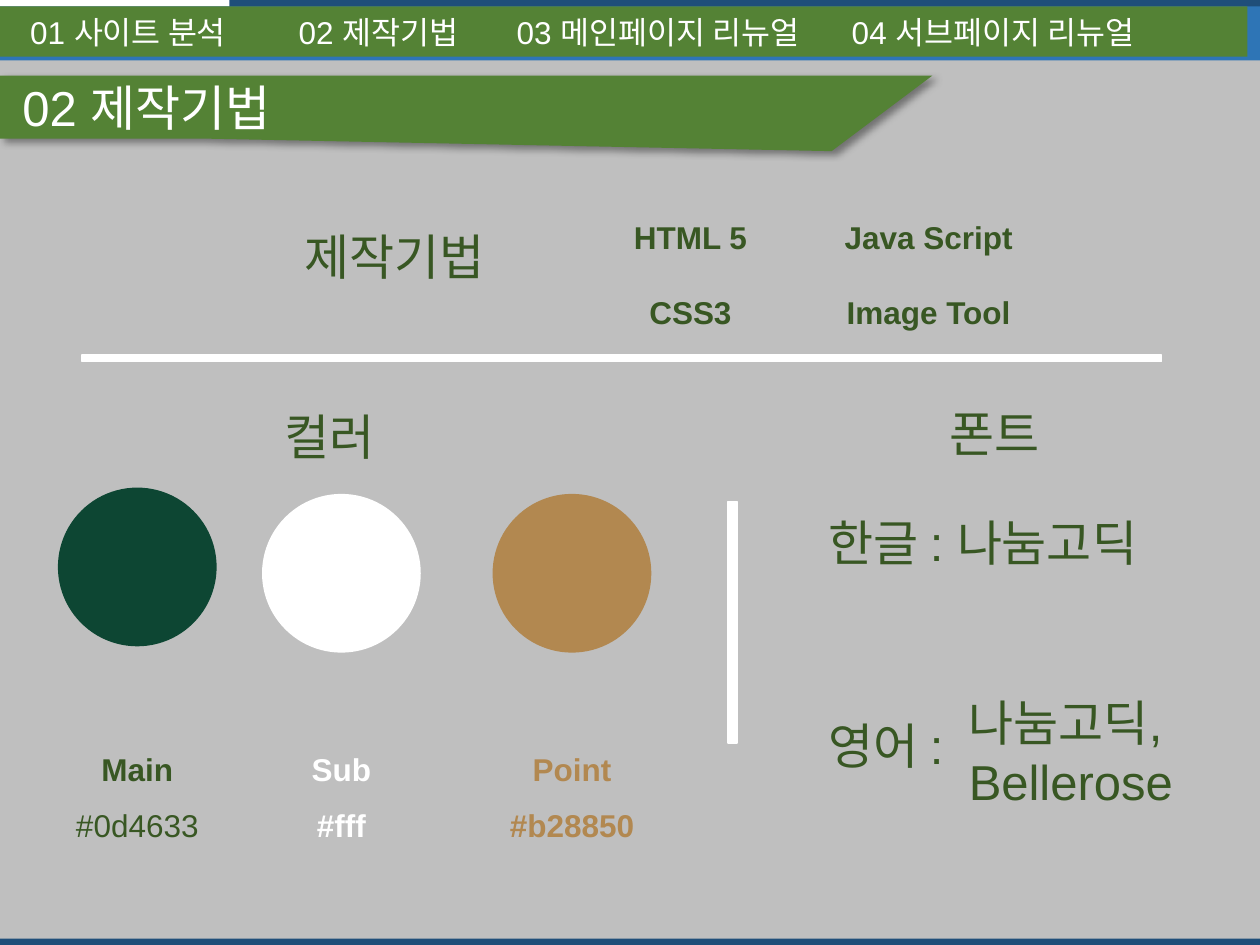
from lxml.etree import SubElement as Sub
from pptx import Presentation
from pptx.dml.color import RGBColor as Rgb
from pptx.enum.shapes import MSO_SHAPE as Form
from pptx.enum.text import PP_ALIGN as Align
from pptx.oxml.ns import qn
from pptx.util import Inches, Pt

COLS, ROWS = 100, 75
CELL = Inches(10) // COLS
HUES = {"back": "BFBFBF", "sky": "2E75B6", "navy": "1F4E79", "leaf": "548235",
        "ink": "385723", "white": "FFFFFF", "main": "0D4633", "point": "B28850"}


def span(*cells):
    """Turn grid cells into lengths."""
    return [round(n * CELL) for n in cells]


def hue(name):
    """Look up a colour by name."""
    return Rgb.from_string(HUES[name])


def paint(shape, fill, line=None):
    """Give a shape a flat fill, an optional line and no shadow."""
    shape.shadow.inherit = False
    shape.fill.solid()
    shape.fill.fore_color.rgb = hue(fill)
    if line:
        shape.line.color.rgb = hue(line)
        shape.line.width = Pt(1)
    else:
        shape.line.fill.background()
    return shape


def block(slide, box, fill, line=None, form=Form.RECTANGLE):
    """Add a painted preset shape."""
    return paint(slide.shapes.add_shape(form, *span(*box)), fill, line)


def style(frame, size, tint, bold=False, align=Align.LEFT, gap=None):
    """Format every paragraph of a text frame."""
    for para in frame.paragraphs:
        para.alignment = align
        para.line_spacing = gap
        for run in para.runs:
            run.font.name = "Arial"
            run.font.size = Pt(size)
            run.font.bold = bold
            run.font.color.rgb = hue(tint)


def label(slide, box, text, size=28, tint="ink", **look):
    """Add a styled text box."""
    frame = slide.shapes.add_textbox(*span(*box)).text_frame
    frame.word_wrap = True
    frame.text = text
    style(frame, size, tint, **look)
    return frame


def stage(slide, box):
    """Fill the back and draw the strips at its top and foot."""
    x, y, w, h = box
    block(slide, box, "back")
    block(slide, (x, y + 0.3, w, 4.5), "sky")
    for top in (y, y + h - 0.5):
        block(slide, (x, top, w, 0.5), "navy")
    block(slide, (x, y, 18.2, 0.5), "white")


def menu(slide, box):
    """Draw the menu bar with its entries on tab stops."""
    bar = block(slide, box, "leaf")
    frame = bar.text_frame
    frame.margin_left, frame.margin_right = span(2.4, 0)
    frame.text = "\t".join(["01 사이트 분석", "02 제작기법",
                            "03 메인페이지 리뉴얼", "04 서브페이지 리뉴얼"])
    style(frame, 18, "white")
    tabs = Sub(frame.paragraphs[0]._p.get_or_add_pPr(), qn("a:tabLst"))
    for stop in span(21.3, 38.6, 65.2):
        Sub(tabs, qn("a:tab"), pos=str(stop), algn="l")


def title(slide, box):
    """Draw the slanted title banner with its shadow."""
    x, y, w, h = box
    pen = slide.shapes.build_freeform(x, y, scale=CELL)
    pen.add_line_segments([(x + w, y), (x + w - 8.8, y + h),
                           (x + 15.5, y + h - 0.1), (x, y + h - 0.1)])
    flag = paint(pen.convert_to_shape(), "leaf")
    glow = Sub(flag._element.spPr.find(qn("a:effectLst")), qn("a:outerShdw"),
               blurRad=str(Pt(4)), dist=str(Pt(3)), dir="2700000",
               algn="tl", rotWithShape="0")
    tone = Sub(glow, qn("a:srgbClr"), val="000000")
    Sub(tone, qn("a:alpha"), val="40000")
    label(slide, (x + 0.8, y + 0.2, 33.5, 5.7), "02 제작기법", tint="white")


def skills(slide, box):
    """List the skills in two columns above a rule."""
    x, y, w, h = box
    label(slide, (x + 16.7, y + 3.7, 18.7, 5.7), "제작기법")
    for i, text in enumerate(["HTML 5\nCSS3", "Java Script\nImage Tool"]):
        label(slide, (x + 39.6 + 18.9 * i, y, 17.4, 13.1), text, 18,
              bold=True, align=Align.CENTER, gap=2.0)
    block(slide, (x, y + h - 0.5, w, 0.5), "white", "white")


def shades(slide, box):
    """Show the colour dots with their names and codes, and a side rule."""
    x, y, w, h = box
    label(slide, (x + 17, y, 10.5, 5.7), "컬러")
    dots = [(0, 6.9, "main", "ink", "Main\n#0d4633"),
            (16.2, 7.4, "white", "white", "Sub\n#fff"),
            (34.5, 7.4, "point", "point", "Point\n#b28850")]
    for left, top, fill, tint, text in dots:
        block(slide, (x + left, y + top, 12.6, 12.6), fill, form=Form.OVAL)
        frame = label(slide, (x + left - 1.7, y + h - 10.1, 16, 10.1), text, 18,
                      tint, bold=True, align=Align.CENTER, gap=1.5)
        if fill == "main":
            frame.paragraphs[1].runs[0].font.bold = False
    block(slide, (x + w - 0.7, y + 8, 0.7, 19.2), "white", "white")


def fonts(slide, box):
    """Name the fonts for each language."""
    x, y, w, h = box
    label(slide, (x + 9.6, y, 15, 5.7), "폰트")
    label(slide, (x, y + 8.7, w, 5.7), "한글 : 나눔고딕")
    label(slide, (x, y + 24.8, 13.3, 5.7), "영어 :")
    label(slide, (x + 11.1, y + h - 10.4, 19.2, 10.4), "나눔고딕,\nBellerose")


def main():
    """Build the slide and save it."""
    deck = Presentation()
    deck.slide_width, deck.slide_height = span(COLS, ROWS)
    slide = deck.slides.add_slide(deck.slide_layouts[6])
    stage(slide, (0, 0, COLS, ROWS))
    menu(slide, (0, 0.5, 99, 4))
    title(slide, (0, 5.5, 74.3, 6))
    skills(slide, (6.5, 13.8, 85.7, 14.9))
    shades(slide, (4.6, 31.8, 53.9, 35.8))
    fonts(slide, (64.8, 31.5, 30.3, 33.4))
    deck.save("out.pptx")


if __name__ == "__main__":
    main()
